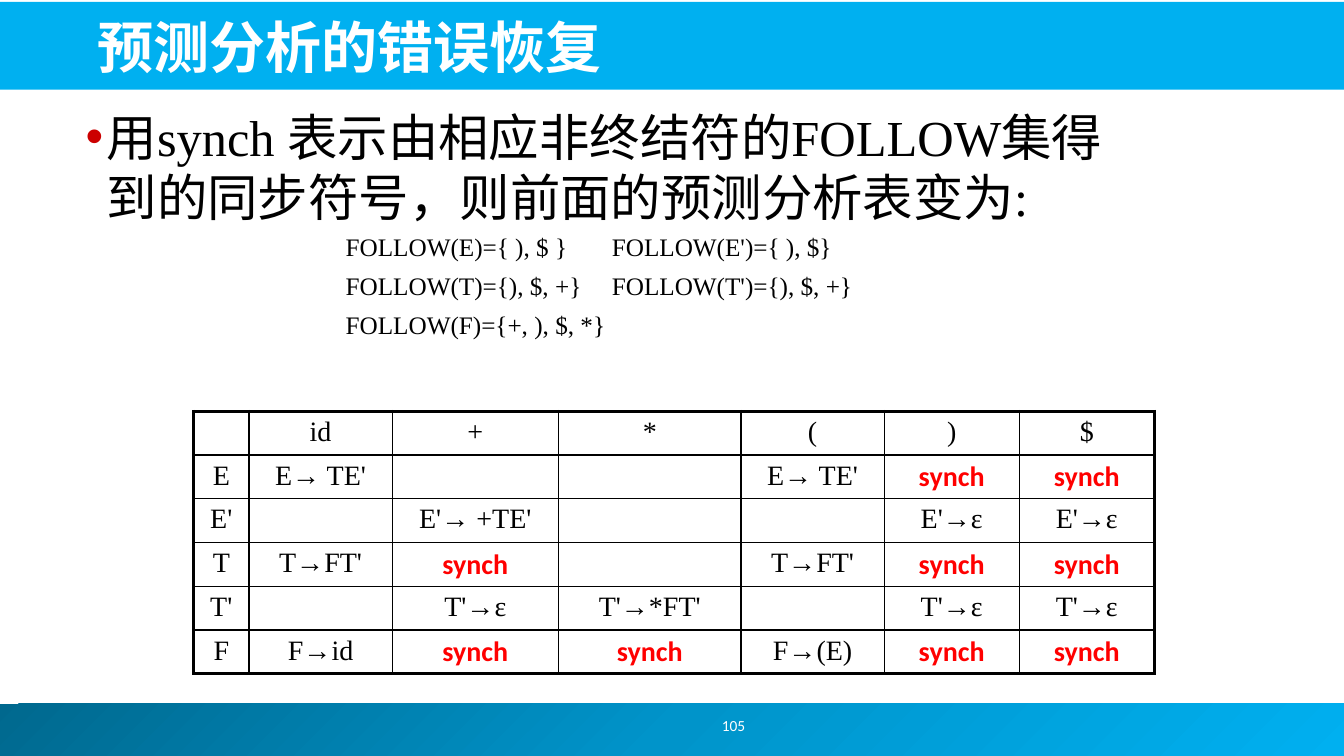
from dataclasses import dataclass
from lxml import etree
from pptx import Presentation
from pptx.dml.color import RGBColor
from pptx.enum.shapes import MSO_SHAPE as Preset
from pptx.enum.text import MSO_ANCHOR as Anchor, PP_ALIGN as Align
from pptx.oxml.ns import qn
from pptx.util import Inches, Pt


@dataclass(frozen=True)
class Theme:
    blue: str = "00B0F0"
    deep_blue: str = "00688E"
    mid_blue: str = "0094CA"
    white: str = "FFFFFF"
    black: str = "000000"
    red: str = "FF0000"
    bullet: str = "CC0000"
    serif: str = "Times New Roman"
    sans: str = "Calibri"
    chinese: str = "Noto Sans CJK JP"
    title: int = 40
    body: int = 36
    cell: int = 20
    note: int = 18
    number: int = 11
    thin: float = 1
    thick: float = 2.25


THEME = Theme()
GRID = Inches(0.01)  # side of one grid square; the slide is 1333 by 750 squares
COLUMNS, ROWS = 1333, 750

TITLE = "预测分析的错误恢复"
BODY = "用synch 表示由相应非终结符的FOLLOW集得到的同步符号，则前面的预测分析表变为:"
FOLLOW_SETS = [
    "FOLLOW(E)={ ), $ }\tFOLLOW(E')={ ), $}",
    "FOLLOW(T)={), $, +}\tFOLLOW(T')={), $, +}",
    "FOLLOW(F)={+, ), $, *}",
]
SYNCH = "synch"
COLUMN_WIDTHS = [55, 142, 165, 181, 142, 134, 134]
PARSE_TABLE = [
    ["", "id", "+", "*", "(", ")", "$"],
    ["E", "E→ TE'", "", "", "E→ TE'", SYNCH, SYNCH],
    ["E'", "", "E'→ +TE'", "", "", "E'→ε", "E'→ε"],
    ["T", "T→FT'", SYNCH, "", "T→FT'", SYNCH, SYNCH],
    ["T'", "", "T'→ε", "T'→*FT'", "", "T'→ε", "T'→ε"],
    ["F", "F→id", SYNCH, SYNCH, "F→(E)", SYNCH, SYNCH],
]


def place(box):
    return [int(part * GRID) for part in box]


def add_element(parent, tag, **values):
    return etree.SubElement(parent, qn(tag), values)


def write(para, text, size, color, font, bold=False, **layout):
    """Fill one paragraph with a single formatted span."""
    for name, value in layout.items():
        setattr(para, name, value)
    span = para.add_run()
    span.text = text
    look = {"size": Pt(size), "name": font, "bold": bold}
    for name, value in look.items():
        setattr(span.font, name, value)
    span.font.color.rgb = RGBColor.from_string(color)
    add_element(span.font._element, "a:ea", typeface=THEME.chinese)


def add_text_box(page, box, anchor=Anchor.TOP):
    frame = page.shapes.add_textbox(*place(box)).text_frame
    frame.word_wrap = True
    frame.vertical_anchor = anchor
    return frame


def add_band(page, box):
    band = page.shapes.add_shape(Preset.RECTANGLE, *place(box))
    band.shadow.inherit = False
    band.line.fill.background()
    return band


def add_header(page, box):
    left, top, width, height = box
    band = add_band(page, box)
    band.fill.solid()
    band.fill.fore_color.rgb = RGBColor.from_string(THEME.blue)
    frame = add_text_box(page, (left + 89, top + 3, width - 130, height - 8), Anchor.BOTTOM)
    write(frame.paragraphs[0], TITLE, THEME.title, THEME.white, THEME.chinese, True)


def add_footer(page, box):
    left, top, width, height = box
    band = add_band(page, box)
    # Three-stop diagonal gradient
    gradient = etree.Element(qn("a:gradFill"), rotWithShape="1")
    stops = add_element(gradient, "a:gsLst")
    for share, color in enumerate([THEME.deep_blue, THEME.mid_blue, THEME.blue]):
        stop = add_element(stops, "a:gs", pos=str(share * 50000))
        add_element(stop, "a:srgbClr", val=color)
    add_element(gradient, "a:lin", ang=str(45 * 60000), scaled="0")
    band._element.spPr.find(qn("a:prstGeom")).addnext(gradient)
    # Page number
    frame = add_text_box(page, (left + 588, top - 3, 289, height - 2), Anchor.MIDDLE)
    write(frame.paragraphs[0], "105", THEME.number, THEME.white, THEME.sans,
          alignment=Align.CENTER)


def add_body(page, box):
    para = add_text_box(page, box).paragraphs[0]
    props = para._p.get_or_add_pPr()
    props.set("marL", str(21 * GRID))
    props.set("indent", str(-21 * GRID))
    color = add_element(props, "a:buClr")
    add_element(color, "a:srgbClr", val=THEME.bullet)
    add_element(props, "a:buFont", typeface="Arial")
    add_element(props, "a:buChar", char="•")
    write(para, BODY, THEME.body, THEME.black, THEME.serif)


def add_follow_sets(page, box):
    frame = add_text_box(page, box)
    for index, line in enumerate(FOLLOW_SETS):
        para = frame.add_paragraph() if index else frame.paragraphs[0]
        if index:
            para.space_before = Pt(6)
        tabs = add_element(para._p.get_or_add_pPr(), "a:tabLst")
        add_element(tabs, "a:tab", pos=str(264 * GRID), algn="l")
        write(para, line, THEME.note, THEME.black, THEME.serif)


def set_borders(cell, outer_sides):
    """Draw thick lines on the outer sides and thin lines elsewhere."""
    props = cell._tc.get_or_add_tcPr()
    for index, (side, outer) in enumerate(outer_sides.items()):
        width = Pt(THEME.thick if outer else THEME.thin)
        line = etree.Element(qn(f"a:ln{side}"), w=str(int(width)))
        fill = add_element(line, "a:solidFill")
        add_element(fill, "a:srgbClr", val=THEME.black)
        props.insert(index, line)


def add_parse_table(page, box):
    last_row, last_column = len(PARSE_TABLE) - 1, len(COLUMN_WIDTHS) - 1
    table = page.shapes.add_table(last_row + 1, last_column + 1, *place(box)).table
    for flag in ("first_row", "horz_banding"):
        setattr(table, flag, False)
    for column, width in zip(table.columns, COLUMN_WIDTHS):
        column.width = width * GRID
    for r, entries in enumerate(PARSE_TABLE):
        for c, entry in enumerate(entries):
            cell = table.cell(r, c)
            cell.fill.background()
            set_borders(cell, {"L": c == 0, "R": c == last_column,
                               "T": r == 0, "B": r == last_row})
            if entry:
                synch = entry == SYNCH
                write(cell.text_frame.paragraphs[0], entry, THEME.cell,
                      THEME.red if synch else THEME.black,
                      THEME.sans if synch else THEME.serif,
                      synch, alignment=Align.CENTER)


def main():
    deck = Presentation()
    deck.slide_width, deck.slide_height = COLUMNS * GRID, ROWS * GRID
    page = deck.slides.add_slide(deck.slide_layouts[6])
    add_footer(page, (-5, 698, 1339, 52))
    add_header(page, (-2, 2, 1336, 87))
    add_body(page, (75, 100, 1058, 175))
    add_parse_table(page, (192, 408, sum(COLUMN_WIDTHS), 260))
    add_follow_sets(page, (333, 225, 750, 148))
    deck.save("out.pptx")


if __name__ == "__main__":
    main()
